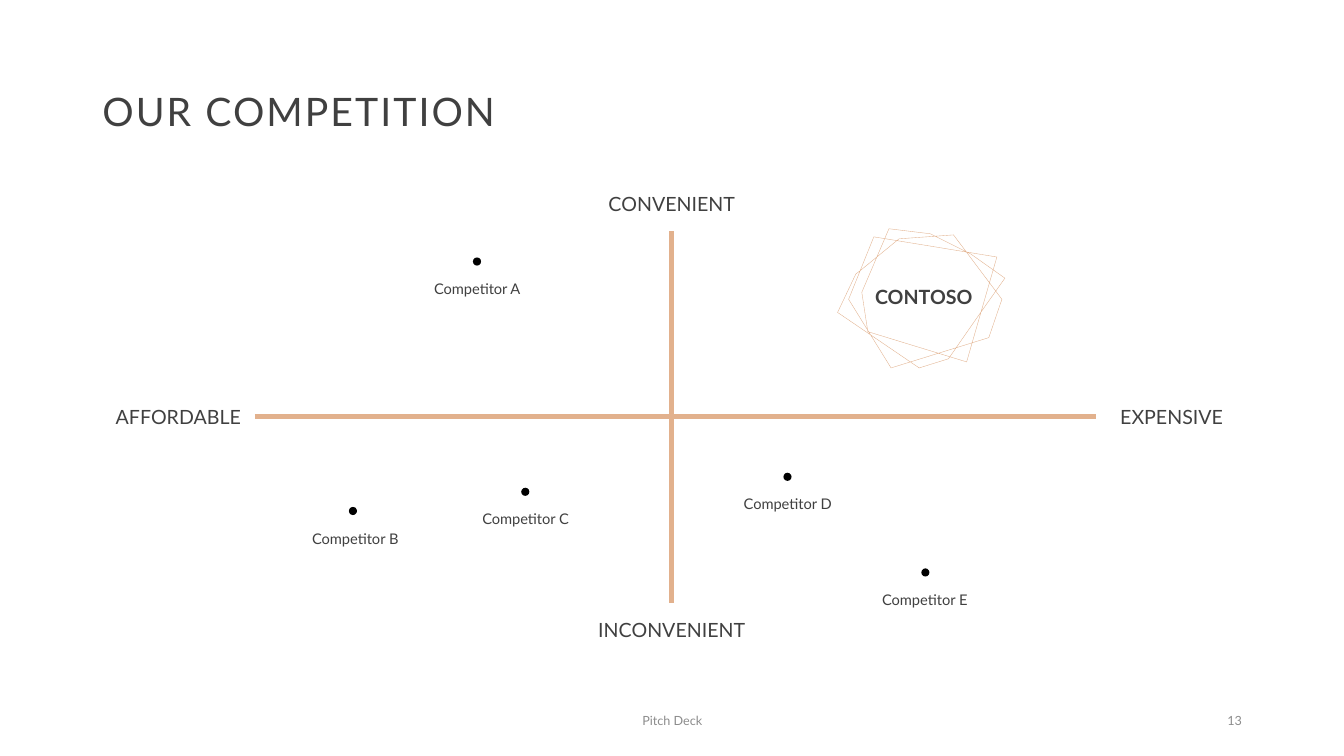
"""Build the competition slide: a two-axis map of five competitors."""
from lxml.etree import SubElement
from pptx import Presentation
from pptx.dml.color import RGBColor
from pptx.enum.shapes import MSO_CONNECTOR, MSO_SHAPE
from pptx.enum.text import MSO_ANCHOR, MSO_AUTO_SIZE, PP_ALIGN
from pptx.oxml.ns import qn
from pptx.util import Pt

COLORS = {name: RGBColor.from_string(value) for name, value in {
    "text": "404040", "footer": "8C8C8C", "accent": "E2B18D", "dot": "000000",
}.items()}

deck = Presentation()
deck.slide_width, deck.slide_height = Pt(960), Pt(540)
slide = deck.slides.add_slide(deck.slide_layouts[5])
shapes = slide.shapes


def write(text, left, top, width, height, holder=None, size=14, color="text",
          bold=False, align=PP_ALIGN.CENTER):
    """Place text in the given placeholder or in a new text box."""
    box = holder or shapes.add_textbox(0, 0, 0, 0)
    box.left, box.top, box.width, box.height = map(Pt, (left, top, width, height))
    frame = box.text_frame
    frame.text = text
    frame.word_wrap = True
    frame.auto_size = MSO_AUTO_SIZE.NONE
    frame.vertical_anchor = MSO_ANCHOR.MIDDLE
    paragraph = frame.paragraphs[0]
    paragraph.alignment = align
    font = paragraph.runs[0].font
    font.name, font.size, font.bold = "Lato", Pt(size), bold
    font.color.rgb = COLORS[color]
    return box


title = write("OUR COMPETITION", 66, 28.8, 828, 104.4, holder=shapes.title,
              size=28, align=PP_ALIGN.LEFT)
heading = title.text_frame.paragraphs[0]
heading.line_spacing = 0.9
heading.runs[0].font._element.set("spc", "150")

convenient = write("CONVENIENT", 412.6, 126, 134.6, 38.9)
inconvenient = write("INCONVENIENT", 412.6, 430.6, 134.6, 38.9)
affordable = write("AFFORDABLE", 72.7, 277.9, 109.4, 38.9)
expensive = write("EXPENSIVE", 782.6, 277.9, 108.7, 38.9)

for start, start_side, end, end_side in [
    (affordable, 3, expensive, 1),
    (inconvenient, 0, convenient, 2),
]:
    axis = shapes.add_connector(MSO_CONNECTOR.STRAIGHT, 0, 0, 0, 0)
    axis.begin_connect(start, start_side)
    axis.end_connect(end, end_side)
    axis.line.color.rgb = COLORS["accent"]
    axis.line.width = Pt(3.5)
    SubElement(axis._element.spPr, qn("a:effectLst"))

DOT = 5.8
LABEL_WIDTH = 92.9
for competitor, dot_x, dot_y, label_x in [
    ("Competitor A", 340.7, 186.8, 340.9),
    ("Competitor B", 252.1, 365, 253.8),
    ("Competitor C", 375.2, 351.3, 375.5),
    ("Competitor D", 562.5, 340.6, 562.7),
    ("Competitor E", 661, 408.9, 660.6),
]:
    dot = shapes.add_shape(MSO_SHAPE.OVAL, Pt(dot_x - DOT / 2),
                           Pt(dot_y - DOT / 2), Pt(DOT), Pt(DOT))
    dot.shadow.inherit = False
    dot.fill.solid()
    dot.fill.fore_color.rgb = COLORS["dot"]
    dot.line.fill.background()
    write(competitor, label_x - LABEL_WIDTH / 2, dot_y, LABEL_WIDTH, 38.9, size=10.5)

badge_points = [(Pt(x), Pt(y)) for x, y in [
    (642.2, 170.6), (614.9, 193), (611.3, 195.8), (598.3, 223.2), (656.6, 262.8),
    (677.5, 256.3), (697, 228.2), (717.8, 198.7), (693.4, 181.4), (664.6, 167),
    (635, 163.4), (615.6, 208.8), (619.9, 236.9), (690.5, 258.5), (712.1, 183.6),
    (624.2, 169.2), (606.2, 213.8), (636.5, 262.8), (706.3, 241.2), (715.7, 213.8),
    (681.1, 167.8),
]]
outline = shapes.build_freeform(*badge_points[0])
outline.add_line_segments(badge_points[1:], close=True)
badge = outline.convert_to_shape()
badge.shadow.inherit = False
badge.fill.background()
badge.line.color.rgb = COLORS["accent"]
badge.line.width = Pt(0.25)
write("CONTOSO", 592.6, 170.6, 134.6, 82.8, bold=True)

write("Pitch Deck", 318.2, 500.4, 324, 28.8, size=9, color="footer")
write("13", 678.2, 500.4, 216, 28.8, size=9, color="footer", align=PP_ALIGN.RIGHT)

deck.save("out.pptx")
